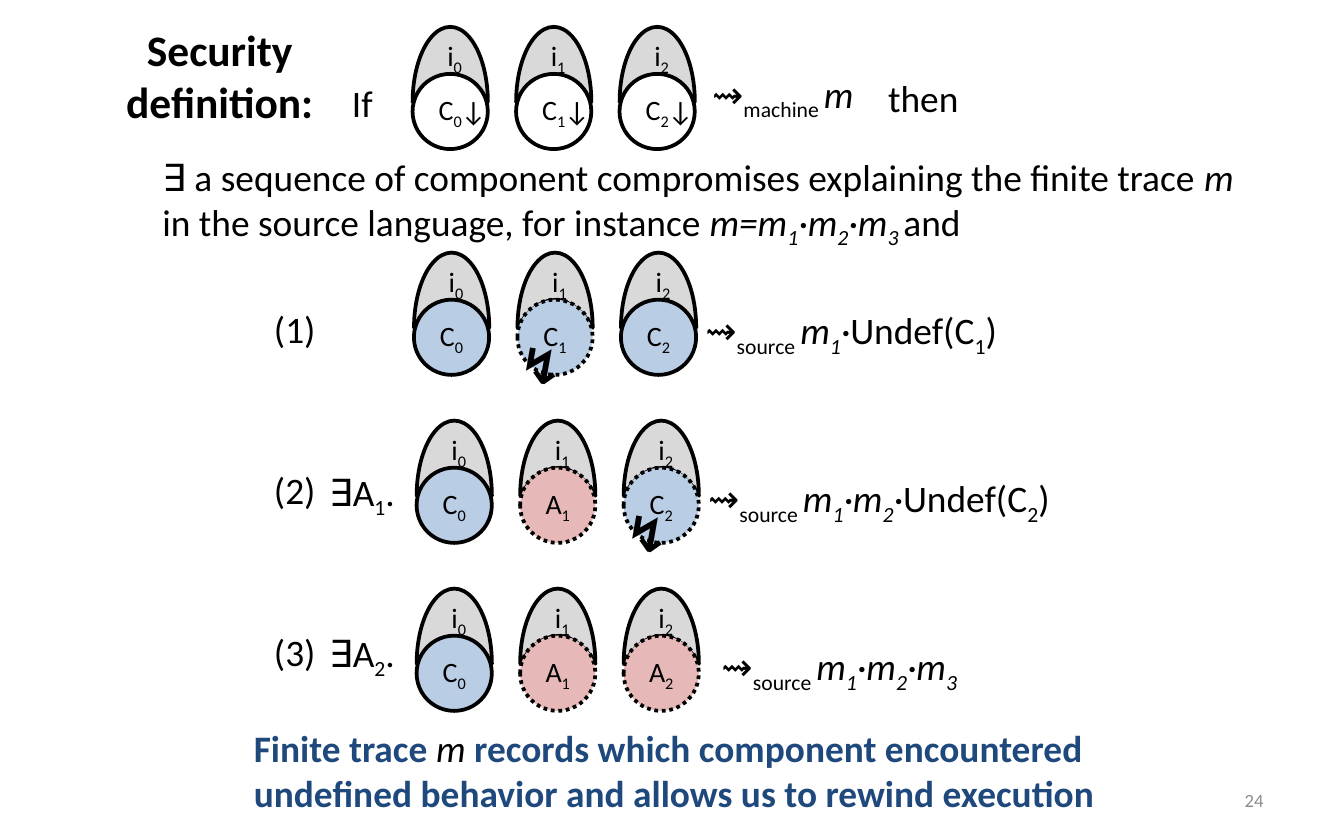
from pptx import Presentation
from pptx.dml.color import RGBColor
from pptx.enum.dml import MSO_LINE
from pptx.enum.shapes import MSO_SHAPE
from pptx.enum.text import MSO_ANCHOR, PP_ALIGN
from pptx.util import Inches, Pt

BLACK = RGBColor(0x00, 0x00, 0x00)
WHITE = RGBColor(0xFF, 0xFF, 0xFF)
GREY = RGBColor(0xD9, 0xD9, 0xD9)
PAGE_GREY = RGBColor(0x8C, 0x8C, 0x8C)
NAVY = RGBColor(0x1F, 0x49, 0x7D)
SOURCE_BLUE = RGBColor(0xB9, 0xCD, 0xE5)
ATTACKER_RED = RGBColor(0xE6, 0xB9, 0xB8)

FONT = "Calibri"
COMPONENT_SIZE = 0.56
COMPONENT_STEP = 0.77
CIRCLE_DROP = 0.35


def sub(base, index, style=""):
    """Runs for a base with a subscript index."""
    return [(base, style), (str(index), style + "s")]


def write(frame, *paragraphs, size=20, color=BLACK, align=PP_ALIGN.LEFT,
          anchor=MSO_ANCHOR.TOP, wrap=False):
    """Fill a frame; each paragraph is a list of (text, style, [color]) runs.

    Style letters: b bold, i italic, s subscript. A newline is a line break.
    """
    frame.word_wrap = wrap
    frame.vertical_anchor = anchor
    for number, runs in enumerate(paragraphs):
        paragraph = frame.add_paragraph() if number else frame.paragraphs[0]
        paragraph.alignment = align
        for text, style, *own_color in runs:
            for line_number, line in enumerate(text.split("\n")):
                if line_number:
                    paragraph.add_line_break()
                if not line:
                    continue
                run = paragraph.add_run()
                run.text = line
                run.font.name = FONT
                run.font.size = Pt(size)
                run.font.bold = "b" in style
                run.font.italic = "i" in style
                run.font.color.rgb = own_color[0] if own_color else color
                if "s" in style:
                    run._r.get_or_add_rPr().set("baseline", "-25000")


def add_text(shapes, left, top, width, height, *paragraphs, **text_format):
    box = shapes.add_textbox(Inches(left), Inches(top), Inches(width), Inches(height))
    write(box.text_frame, *paragraphs, **text_format)


def add_outlined(shapes, preset, left, top, fill, dotted=False):
    shape = shapes.add_shape(preset, Inches(left), Inches(top),
                             Inches(COMPONENT_SIZE), Inches(COMPONENT_SIZE))
    shape.shadow.inherit = False
    shape.fill.solid()
    shape.fill.fore_color.rgb = fill
    shape.line.color.rgb = BLACK
    shape.line.width = Pt(2)
    if dotted:
        shape.line.dash_style = MSO_LINE.ROUND_DOT
    return shape


def add_components(slide, left, top, components):
    """Add a group of interfaces (moons) with their components (circles) in front."""
    shapes = slide.shapes.add_group_shape().shapes
    for index in range(len(components)):
        x = left + index * COMPONENT_STEP
        interface = add_outlined(shapes, MSO_SHAPE.MOON, x, top, GREY)
        interface.adjustments[0] = 0.63
        interface.rotation = 90
        add_text(shapes, x + 0.16, top + 0.04, 0.32, 0.35, sub("i", index), size=15)
    for index, (letter, fill, dotted) in enumerate(components):
        circle = add_outlined(shapes, MSO_SHAPE.OVAL, left + index * COMPONENT_STEP,
                              top + CIRCLE_DROP, fill, dotted)
        frame = circle.text_frame
        frame.margin_left = frame.margin_right = 0
        frame.margin_top = frame.margin_bottom = 0
        write(frame, sub(letter, index), size=15, align=PP_ALIGN.CENTER,
              anchor=MSO_ANCHOR.MIDDLE)


def add_title(slide):
    title = slide.shapes.title
    title.left, title.top = Inches(0.71), Inches(-0.03)
    title.width, title.height = Inches(1.85), Inches(1.18)
    write(title.text_frame, [("Security\ndefinition:", "b")], size=23.3,
          align=PP_ALIGN.CENTER, anchor=MSO_ANCHOR.MIDDLE, wrap=True)


def add_premise(slide):
    left, top = 3.07, 0.2
    add_text(slide.shapes, 2.52, 0.55, 0.36, 0.44, [("If", "")])
    add_components(slide, left, top, [("C", WHITE, False)] * 3)
    for index in range(3):
        add_text(slide.shapes, left + 0.26 + index * COMPONENT_STEP, 0.65, 0.39, 0.35,
                 [("↓", "")], size=15)
    add_text(slide.shapes, 5.2, 0.48, 1.41, 0.44,
             [("⇝", ""), ("machine ", "s"), ("m", "i")])
    add_text(slide.shapes, 6.51, 0.51, 0.74, 0.44, [("then", "")])


def add_step(slide, number, left, top, components, trace_left, trace, undefined=None):
    """Add one numbered step; undefined is the index of the component that fails."""
    label_top = 2.23 + (number - 1) * 1.2
    add_text(slide.shapes, 1.94, label_top, 0.52, 0.44, [(f"({number})", "")])
    if number > 1:
        add_text(slide.shapes, 2.35, label_top + 0.01, 0.69, 0.44,
                 sub("∃A", number - 1) + [(".", "")])
    add_components(slide, left, top, components)
    add_text(slide.shapes, trace_left, top + 0.36, 2.9, 0.44,
             [("⇝", ""), ("source ", "s")] + trace)
    if undefined is not None:
        add_text(slide.shapes, left + undefined * COMPONENT_STEP - 0.08, top + 0.56,
                 0.41, 0.55, [("↯", "b")], size=26.7)


def main():
    deck = Presentation()
    deck.slide_width, deck.slide_height = Inches(10), Inches(6.25)
    slide = deck.slides.add_slide(deck.slide_layouts[5])

    add_title(slide)
    add_premise(slide)

    m1 = sub("m", 1, "i")
    m2 = sub("·m", 2, "i")
    m3 = sub("·m", 3, "i")
    add_text(slide.shapes, 1.11, 1.1, 8.33, 0.77,
             [("∃ a sequence of component compromises explaining the finite trace ", ""),
              ("m\n", "i"), ("in the source language, for instance ", ""),
              ("m=", "i"), *m1, *m2, *m3, (" ", "is"), ("and", "")])

    intact = ("C", SOURCE_BLUE, False)
    failing = ("C", SOURCE_BLUE, True)
    attacker = ("A", ATTACKER_RED, True)
    dot, close = ("·", "i"), (")", "")
    add_step(slide, 1, 3.08, 1.88, [intact, failing, intact], 5.15,
             [*m1, dot, *sub("Undef(C", 1), close], undefined=1)
    add_step(slide, 2, 3.1, 3.13, [intact, attacker, failing], 5.17,
             [*m1, *m2, dot, *sub("Undef(C", 2), close], undefined=2)
    add_step(slide, 3, 3.1, 4.38, [intact, attacker, attacker], 5.27,
             [*m1, *m2, *m3])

    add_text(slide.shapes, 1.79, 5.35, 6.51, 0.77,
             [("Finite trace ", "b"), ("m", "i", BLACK),
              (" records which component encountered", "b")],
             [("undefined behavior and allows us to rewind execution", "b")],
             color=NAVY)
    add_text(slide.shapes, 7.17, 5.79, 2.33, 0.33, [("24", "")], size=10,
             color=PAGE_GREY, align=PP_ALIGN.RIGHT, anchor=MSO_ANCHOR.MIDDLE, wrap=True)
    deck.save("out.pptx")


if __name__ == "__main__":
    main()
